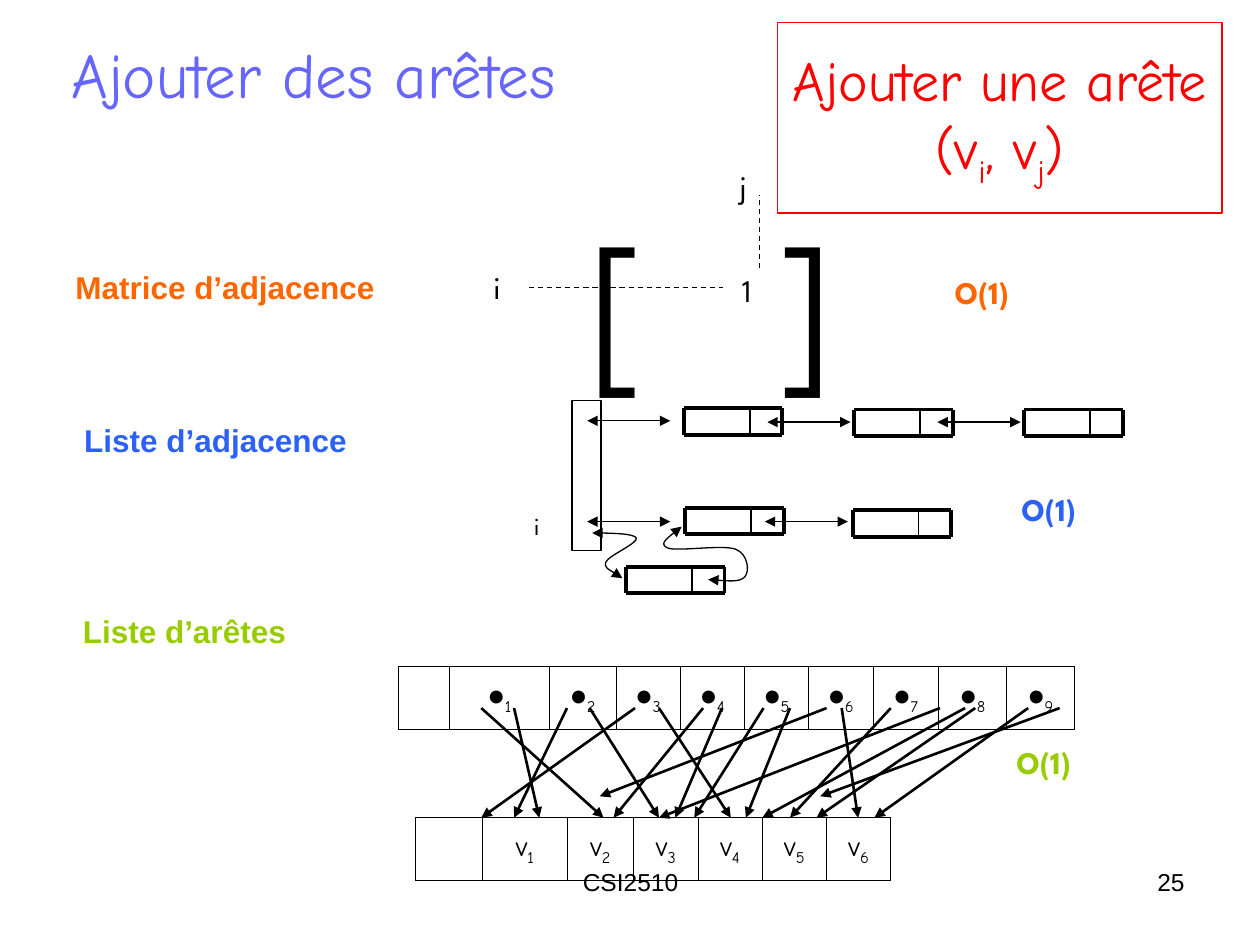
from lxml import etree
from pptx import Presentation
from pptx.dml.color import RGBColor
from pptx.enum import dml, shapes, text
from pptx.oxml import parse_xml
from pptx.oxml.ns import nsdecls, qn
from pptx.util import Inches, Pt

SANS, HAND, HEAVY, DOT = "Arial", "Comic Neue", "League Spartan", "Calibri"
BLACK, RED, VIOLET = "000000", "FF0000", "6666FF"
ORANGE, BLUE, GREEN = "FF6600", "2C61F6", "99CC00"
LEFT, CENTER, RIGHT = text.PP_ALIGN.LEFT, text.PP_ALIGN.CENTER, text.PP_ALIGN.RIGHT

# left, top, width, height, text, size, font, colour, bold, alignment
TEXTS = [
    (3.42, 6.83, 3.17, 0.52, "CSI2510", 14, SANS, BLACK, False, CENTER),
    (7.17, 6.83, 2.33, 0.52, "25", 14, SANS, BLACK, False, RIGHT),
    (0.47, 0.23, 5.6, 0.7, "Ajouter des arêtes", 36, HAND, VIOLET, False, LEFT),
    (7.48, 2.12, 1.2, 0.4, "O(1)", 18, HEAVY, ORANGE, True, LEFT),
    (8.01, 3.84, 1.42, 0.4, "O(1)", 18, HEAVY, BLUE, True, LEFT),
    (7.97, 5.85, 1.42, 0.4, "O(1)", 18, HEAVY, GREEN, True, LEFT),
    (4.14, 4.01, 0.25, 0.34, "i", 14, HEAVY, BLACK, False, LEFT),
    (3.82, 2.08, 0.42, 0.4, "i", 18, HEAVY, BLACK, False, LEFT),
    (5.77, 1.28, 0.42, 0.4, "j", 18, HEAVY, BLACK, False, LEFT),
    (5.79, 2.1, 0.76, 0.4, "1", 18, HEAVY, BLACK, False, LEFT),
]
# text, colour, space before (pt), indent (in)
STRUCTURES = [("Matrice d’adjacence", ORANGE, 0, 0),
              ("Liste d’adjacence", BLUE, 65.7, 0.07),
              ("Liste d’arêtes", GREEN, 87.3, 0.06)]
BRACKET_GAP = 1.48
TITLE = [("Ajouter une arête (v", False), ("i", True), (", v", False),
         ("j", True), (")", False)]

NODES = [(5.43, 3.24), (6.78, 3.25), (8.13, 3.25),
         (5.44, 4.03), (6.77, 4.05), (4.97, 4.5)]
NODE_W, NODE_SPLIT, NODE_H = 0.78, 0.52, 0.21
LINK_W = 0.66
LINKS = [(4.66, 3.34), (4.66, 4.14), (6.07, 4.14), (6.09, 3.35), (7.44, 3.35)]
DASHES = [(4.2, 2.28, 5.74, 2.28), (6.03, 2.13, 6.03, 1.55)]
# start, then three points for each cubic curve
CURVES = [
    [(4.7, 4.23), (4.87, 4.23), (5.03, 4.24), (5.05, 4.27),
     (5.07, 4.31), (4.83, 4.41), (4.81, 4.46),
     (4.79, 4.51), (4.92, 4.57), (4.94, 4.59)],
    [(5.62, 4.6), (5.75, 4.61), (5.87, 4.62), (5.91, 4.58),
     (5.95, 4.54), (5.94, 4.4), (5.84, 4.36),
     (5.74, 4.32), (5.37, 4.38), (5.3, 4.35),
     (5.23, 4.32), (5.32, 4.25), (5.41, 4.18)],
]

# left, top, column widths, symbol, symbol font
EDGE_ROW = (3.16, 5.29, [0.41, 0.79, 0.53, 0.51, 0.51, 0.51, 0.51, 0.52, 0.54, 0.54], "●", DOT)
VERTEX_ROW = (3.3, 6.49, [0.53, 0.67, 0.53, 0.51, 0.51, 0.51, 0.51], "v", HAND)
ROW_H = 0.5
EDGE_Y, VERTEX_Y, SHORT_Y = 5.62, 6.49, 6.32
# x at the edge row, x at the vertex row
POINTERS = [(4.08, 4.28), (4.68, 5.23), (3.82, 4.79), (4.5, 4.08), (5.04, 3.82),
            (5.23, 5.8), (5.58, 4.87), (5.73, 5.36), (6.06, 5.51), (6.27, 5.92),
            (6.68, 6.81), (7.07, 6.27), (7.46, 5.23), (7.66, 6.05),
            (7.74, 6.48), (8.16, 6.94)]
SHORT_POINTERS = [(6.56, 4.76), (8.41, 6.51)]


def color(value):
    return RGBColor.from_string(value)


def add_run(p, content, size, font, fill, bold=False, sub=False):
    r = p.add_run()
    r.text = content
    r.font.size, r.font.name, r.font.bold = Pt(size), font, bold
    r.font.color.rgb = color(fill)
    if sub:
        r._r.get_or_add_rPr().set("baseline", "-25000")


def text_box(s, x, y, w, h, wrap=True):
    tf = s.shapes.add_textbox(Inches(x), Inches(y), Inches(w), Inches(h)).text_frame
    tf.word_wrap = wrap
    return tf


def style_line(sp, width, ends=()):
    """Black line with a triangle at each of the ends (headEnd, tailEnd)."""
    sp.line.color.rgb = color(BLACK)
    sp.line.width = Pt(width)
    for end in ends:
        etree.SubElement(sp.line._get_or_add_ln(), qn("a:" + end), type="triangle")


def add_line(parent, x1, y1, x2, y2, width, ends=()):
    c = parent.shapes.add_connector(shapes.MSO_CONNECTOR.STRAIGHT, Inches(x1),
                                    Inches(y1), Inches(x2), Inches(y2))
    style_line(c, width, ends)
    etree.SubElement(c._element.spPr, qn("a:effectLst"))
    return c


def add_node(s, x, y):
    """List cell: thick outline with a thin divider."""
    g = s.shapes.add_group_shape()
    right, bottom = x + NODE_W, y + NODE_H
    for row in (y, bottom):
        add_line(g, x, row, right, row, 2.25)
    for col, width in ((x, 2.25), (x + NODE_SPLIT, 1), (right, 2.25)):
        add_line(g, col, y, col, bottom, width)


def add_curve(s, points):
    pts = [(Inches(x), Inches(y)) for x, y in points]
    b = s.shapes.build_freeform(*pts[0])
    b.add_line_segments(pts[1:], close=False)
    sp = b.convert_to_shape()
    sp.shadow.inherit = False
    sp.fill.background()
    style_line(sp, 0.75, ("headEnd", "tailEnd"))
    segments = sp._element.xpath(".//a:lnTo")
    outline = segments[0].getparent()
    for i in range(0, len(segments), 3):
        cubic = etree.SubElement(outline, qn("a:cubicBezTo"))
        for segment in segments[i:i + 3]:
            cubic.append(segment[0])
            outline.remove(segment)


def add_row(s, left, top, widths, symbol, font):
    """One-row table: an empty cell, then the symbol with indices 1, 2, 3..."""
    t = s.shapes.add_table(1, len(widths), Inches(left), Inches(top),
                           Inches(sum(widths)), Inches(ROW_H)).table
    t.first_row = t.horz_banding = False
    t.rows[0].height = Inches(ROW_H)
    for i, width in enumerate(widths):
        t.columns[i].width = Inches(width)
        cell = t.cell(0, i)
        cell.vertical_anchor = text.MSO_ANCHOR.MIDDLE
        tc_pr = cell._tc.get_or_add_tcPr()
        for side in ("lnL", "lnR", "lnT", "lnB"):
            tc_pr.append(parse_xml(
                f'<a:{side} {nsdecls("a")} w="{Pt(0.45)}"><a:solidFill>'
                f'<a:srgbClr val="{BLACK}"/></a:solidFill></a:{side}>'))
        cell.fill.background()
        if i:
            p = cell.text_frame.paragraphs[0]
            p.alignment = CENTER
            add_run(p, symbol, 16, font, BLACK)
            add_run(p, str(i), 16, HAND, BLACK, sub=True)


def main():
    prs = Presentation()
    prs.slide_width, prs.slide_height = Inches(10), Inches(7.5)
    s = prs.slides.add_slide(prs.slide_layouts[6])

    title = s.shapes.add_shape(shapes.MSO_SHAPE.RECTANGLE, Inches(6.17), Inches(0.18),
                               Inches(3.53), Inches(1.51))
    title.shadow.inherit = False
    title.fill.background()
    title.line.color.rgb, title.line.width = color(RED), Pt(0.75)
    title.text_frame.word_wrap = True
    title.text_frame.vertical_anchor = text.MSO_ANCHOR.MIDDLE
    p = title.text_frame.paragraphs[0]
    p.alignment = CENTER
    for content, sub in TITLE:
        add_run(p, content, 32, HAND, RED, sub=sub)

    tf = text_box(s, 0.5, 2.08, 3.16, 3.1)
    for i, (content, fill, before, indent) in enumerate(STRUCTURES):
        p = tf.add_paragraph() if i else tf.paragraphs[0]
        p._p.get_or_add_pPr().set("marL", str(Inches(indent)))
        p.space_before = Pt(before)
        add_run(p, content, 18, SANS, fill, bold=True)

    p = text_box(s, 4.59, 1.5, 3.35, 1.7).paragraphs[0]
    tabs = etree.SubElement(p._p.get_or_add_pPr(), qn("a:tabLst"))
    etree.SubElement(tabs, qn("a:tab"), pos=str(Inches(BRACKET_GAP)), algn="l")
    add_run(p, "[\t]", 96, HEAVY, BLACK)

    array = s.shapes.add_shape(shapes.MSO_SHAPE.RECTANGLE, Inches(4.54), Inches(3.18),
                               Inches(0.23), Inches(1.19))
    array.shadow.inherit = False
    array.fill.solid()
    array.fill.fore_color.rgb = color("FFFFFF")
    style_line(array, 0.75)

    for x, y in NODES:
        add_node(s, x, y)
    for x, y in LINKS:
        add_line(s, x, y, x + LINK_W, y, 0.75, ("headEnd", "tailEnd"))
    for dash in DASHES:
        add_line(s, *dash, 0.75).line.dash_style = dml.MSO_LINE.DASH
    for points in CURVES:
        add_curve(s, points)

    for row in (EDGE_ROW, VERTEX_ROW):
        add_row(s, *row)
    for pointers, end_y in ((POINTERS, VERTEX_Y), (SHORT_POINTERS, SHORT_Y)):
        for x1, x2 in pointers:
            add_line(s, x1, EDGE_Y, x2, end_y, 1.5, ("tailEnd",))

    for x, y, w, h, content, size, font, fill, bold, align in TEXTS:
        p = text_box(s, x, y, w, h, wrap=w > 0.3).paragraphs[0]
        p.alignment = align
        add_run(p, content, size, font, fill, bold)

    prs.save("out.pptx")


if __name__ == "__main__":
    main()
